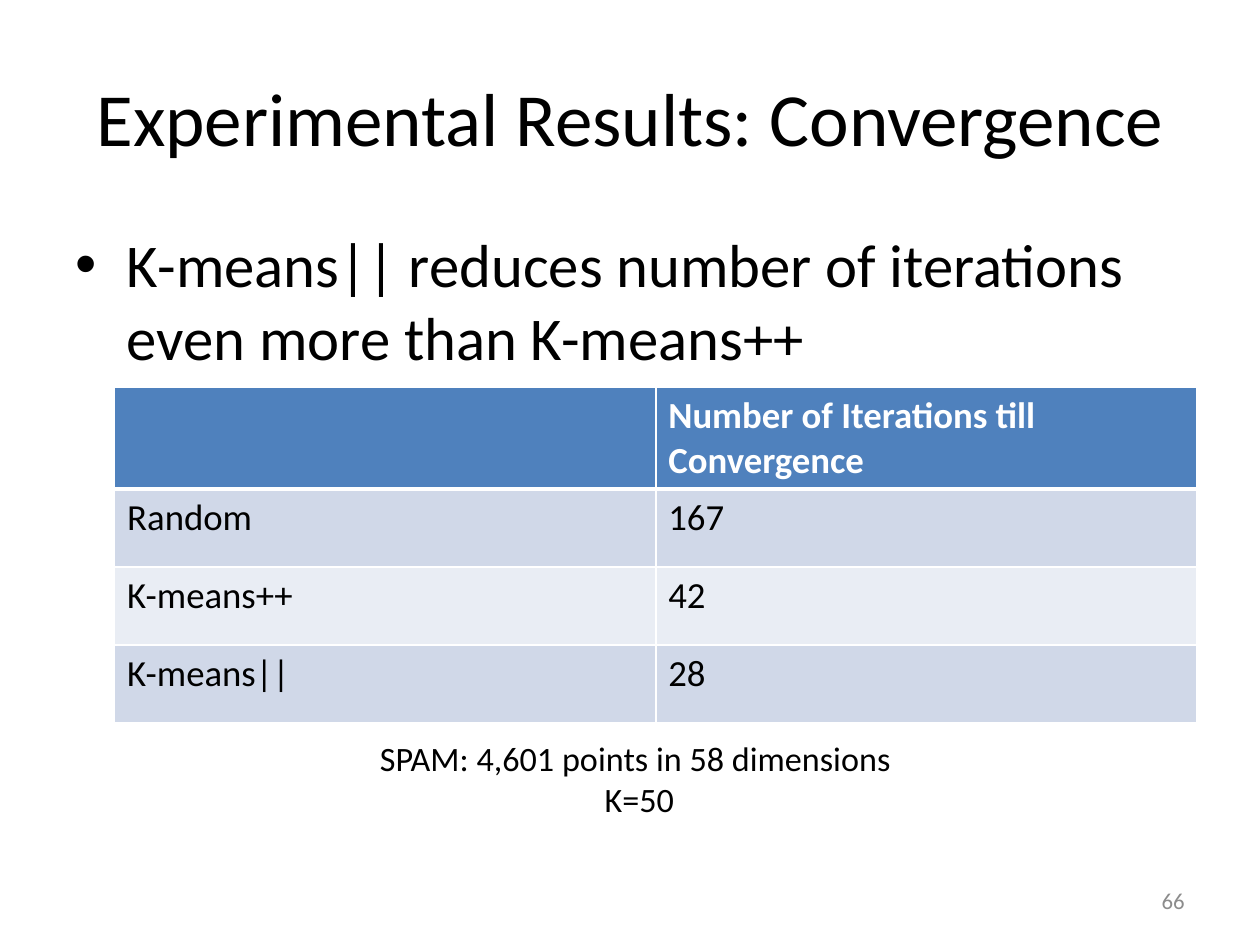
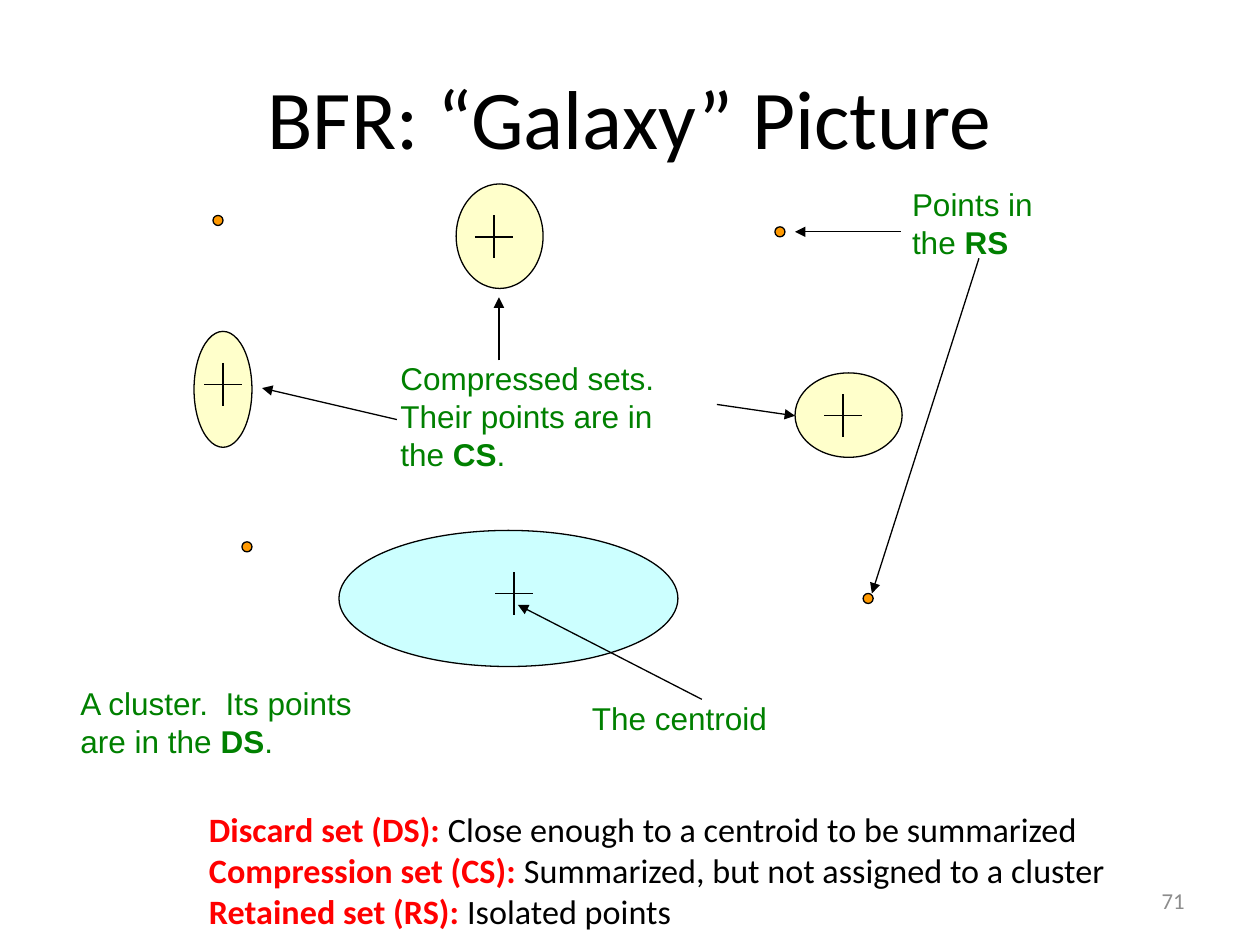
from pptx import Presentation
from pptx.dml.color import RGBColor
from pptx.enum.shapes import MSO_CONNECTOR, MSO_SHAPE
from pptx.enum.text import MSO_ANCHOR, PP_ALIGN
from pptx.oxml.ns import qn
from pptx.util import Inches, Pt
from lxml import etree

LEFT, CENTER, RIGHT = PP_ALIGN.LEFT, PP_ALIGN.CENTER, PP_ALIGN.RIGHT
TOP, MIDDLE = MSO_ANCHOR.TOP, MSO_ANCHOR.MIDDLE
OVAL = MSO_SHAPE.OVAL
STRAIGHT = MSO_CONNECTOR.STRAIGHT

COLORS = {
    "text": "000000",
    "white": "FFFFFF",
    "number": "8C8C8C",
    "header": "4F81BD",
    "odd_row": "D0D8E8",
    "even_row": "E9EDF4",
    "label": "008000",
    "term": "FF0000",
    "cluster": "CCFFFF",
    "compressed": "FFFF99",
    "point": "FF9900",
}


def rgb(name):
    return RGBColor.from_string(COLORS[name])


def add_element(parent, tag, **attributes):
    return etree.SubElement(parent, qn(tag), attributes)


class Deck:
    font = "Calibri"
    label_font = "Arial"
    line_width = 0.75

    def __init__(self):
        self.presentation = Presentation()
        self.presentation.slide_width = Inches(10)
        self.presentation.slide_height = Inches(7.5)
        self.slide = None

    def start_slide(self, title, title_size, number):
        self.slide = self.presentation.slides.add_slide(self.presentation.slide_layouts[6])
        self.text((0.5, 0.3, 9, 1.25), [[(title, "text", False)]], title_size, CENTER, MIDDLE)
        self.text((7.17, 6.95, 2.33, 0.4), [[(str(number), "number", False)]], 13, RIGHT, MIDDLE)

    def run(self, paragraph, text, size, color, bold=False, font=None):
        run = paragraph.add_run()
        run.text = text
        run.font.name = font or self.font
        run.font.size = Pt(size)
        run.font.bold = bold
        run.font.color.rgb = rgb(color)

    def text(self, box, lines, size, align=LEFT, anchor=TOP, font=None, wrap=True):
        shape = self.slide.shapes.add_textbox(*map(Inches, box))
        frame = shape.text_frame
        frame.word_wrap = wrap
        frame.vertical_anchor = anchor
        for index, line in enumerate(lines):
            paragraph = frame.add_paragraph() if index else frame.paragraphs[0]
            paragraph.alignment = align
            for content, color, bold in line:
                self.run(paragraph, content, size, color, bold, font)
        return shape

    def bullet(self, box, content, size, indent):
        shape = self.text(box, [[(content, "text", False)]], size)
        paragraph = shape.text_frame.paragraphs[0]
        paragraph.space_before = Pt(round(size * 0.2))
        properties = paragraph._p.get_or_add_pPr()
        properties.set("marL", str(Inches(indent)))
        properties.set("indent", str(-Inches(indent)))
        add_element(properties, "a:buFont", typeface="Arial")
        add_element(properties, "a:buChar", char="•")

    def label(self, box, lines):
        colored = [[(content, "label", bold) for content, bold in line] for line in lines]
        self.text(box, colored, 18, font=self.label_font, wrap=False)

    def cell_borders(self, cell, bottom):
        properties = cell._tc.get_or_add_tcPr()
        for side, width in (("L", 1), ("R", 1), ("T", 1), ("B", bottom)):
            border = add_element(properties, f"a:ln{side}", w=str(Pt(width)))
            fill = add_element(border, "a:solidFill")
            add_element(fill, "a:srgbClr", val=COLORS["white"])

    def table(self, box, rows, heights, size):
        frame = self.slide.shapes.add_table(len(rows), len(rows[0]), *map(Inches, box))
        table = frame.table
        for column in table.columns:
            column.width = Inches(box[2] / len(rows[0]))
        for row_index, values in enumerate(rows):
            table.rows[row_index].height = Inches(heights[row_index])
            header = row_index == 0
            fill = "header" if header else ("even_row", "odd_row")[row_index % 2]
            for column_index, value in enumerate(values):
                cell = table.cell(row_index, column_index)
                self.cell_borders(cell, 3 if header else 1)
                cell.fill.solid()
                cell.fill.fore_color.rgb = rgb(fill)
                if value:
                    color = "white" if header else "text"
                    self.run(cell.text_frame.paragraphs[0], value, size, color, header)

    def ellipse(self, box, color, opacity=100):
        shape = self.slide.shapes.add_shape(OVAL, *map(Inches, box))
        shape.shadow.inherit = False
        shape.fill.solid()
        shape.fill.fore_color.rgb = rgb(color)
        shape.line.color.rgb = rgb("text")
        shape.line.width = Pt(self.line_width)
        if opacity < 100:
            fill_color = shape._element.spPr.find(qn("a:solidFill"))[0]
            add_element(fill_color, "a:alpha", val=str(opacity * 1000))

    def line(self, start, end, arrow=False):
        connector = self.slide.shapes.add_connector(STRAIGHT, *map(Inches, start + end))
        connector.line.color.rgb = rgb("text")
        connector.line.width = Pt(self.line_width)
        if arrow:
            add_element(connector.line._get_or_add_ln(), "a:tailEnd", type="triangle")
        add_element(connector._element.spPr, "a:effectLst")

    def centroid(self, x, y):
        self.line((x, y - 0.17), (x, y + 0.17))
        self.line((x - 0.15, y), (x + 0.15, y))


deck = Deck()

deck.start_slide("Experimental Results: Convergence", 42.9, 66)
deck.bullet((0.5, 1.75, 9, 4.95),
            "K-means|| reduces number of iterations even more than K-means++", 34.7, 0.41)
results = [
    ("", "Number of Iterations till Convergence"),
    ("Random", "167"),
    ("K-means++", "42"),
    ("K-means||", "28"),
]
deck.table((0.91, 3.07, 8.59, 2.66), results, [0.81, 0.62, 0.62, 0.62], 21)
dataset = ["SPAM: 4,601 points in 58 dimensions ", "K=50"]
deck.text((1.77, 5.8, 6.61, 0.76), [[(line, "text", False)] for line in dataset], 19.5, CENTER)

deck.start_slide("BFR: “Galaxy” Picture", 47.7, 71)
definitions = [
    ("Discard set (DS): ", "Close enough to a centroid to be summarized"),
    ("Compression set (CS): ", "Summarized, but not assigned to a cluster"),
    ("Retained set (RS): ", "Isolated points"),
]
deck.text((1.56, 6.37, 7.45, 1.09),
          [[(term, "term", True), (meaning, "text", False)] for term, meaning in definitions], 19.5)

deck.ellipse((2.69, 4.21, 2.69, 1.08), "cluster")
for compressed_set in [(1.54, 2.63, 0.46, 0.92), (6.31, 2.96, 0.85, 0.67), (3.62, 1.46, 0.69, 0.83)]:
    deck.ellipse(compressed_set, "compressed", 50)
for center in [(4.08, 4.71), (1.77, 3.05), (6.69, 3.3), (3.92, 1.88)]:
    deck.centroid(*center)
for left, top in [(1.69, 1.71), (1.92, 4.3), (6.85, 4.71), (6.15, 1.8)]:
    deck.ellipse((left, top, 0.08, 0.08), "point")

deck.label((0.54, 5.38, 2.38, 0.71),
           [[("A cluster.  Its points", False)],
            [("are in the ", False), ("DS", True), (".", False)]])
deck.label((4.6, 5.5, 1.6, 0.4), [[("The centroid", False)]])
deck.label((3.08, 2.8, 2.24, 1.01),
           [[("Compressed sets.", False)],
            [("Their points are in", False)],
            [("the ", False), ("CS", True), (".", False)]])
deck.label((7.14, 1.42, 1.17, 0.71),
           [[("Points in", False)], [("the ", False), ("RS", True)]])

arrows = [
    ((5.57, 5.55), (4.11, 4.8)),
    ((3.15, 3.33), (2.08, 3.08)),
    ((3.96, 2.86), (3.96, 2.36)),
    ((5.69, 3.21), (6.31, 3.3)),
    ((7.15, 1.84), (6.31, 1.84)),
    ((7.77, 2.05), (6.92, 4.71)),
]
for start, end in arrows:
    deck.line(start, end, arrow=True)

deck.presentation.save("out.pptx")
